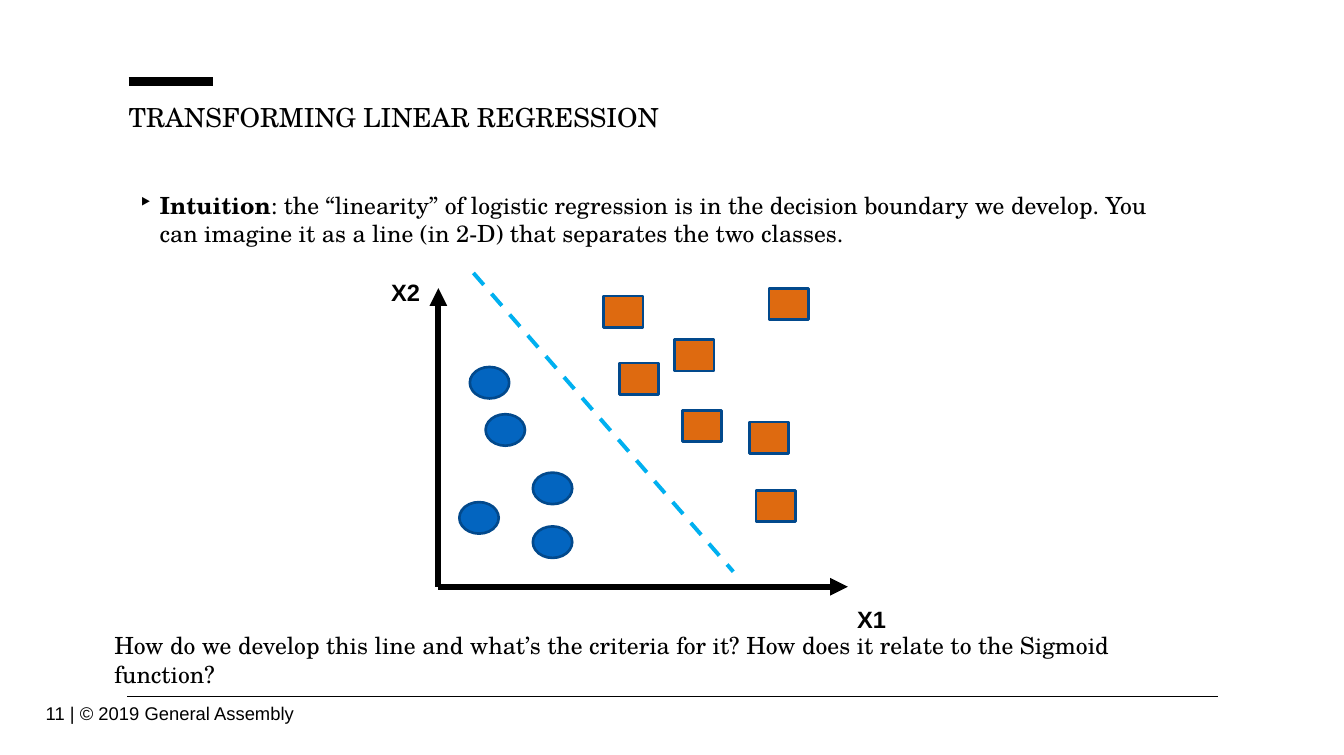
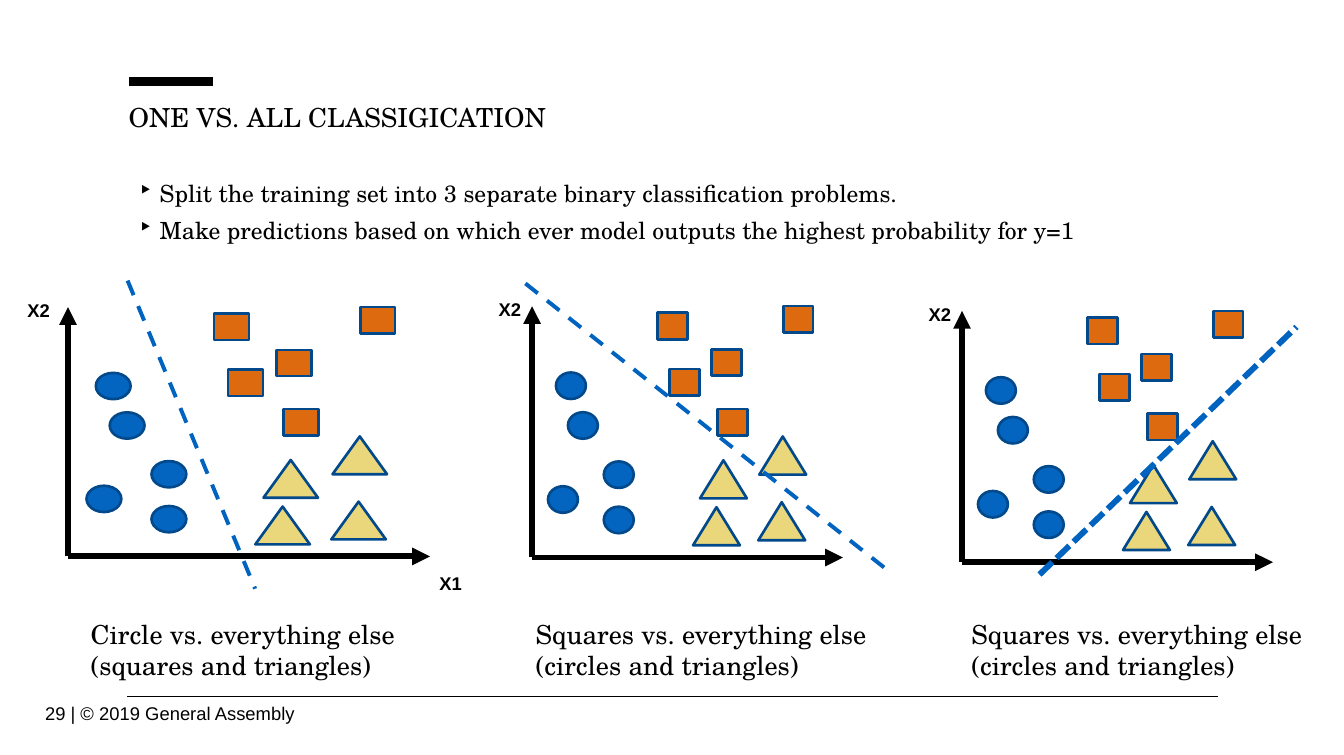
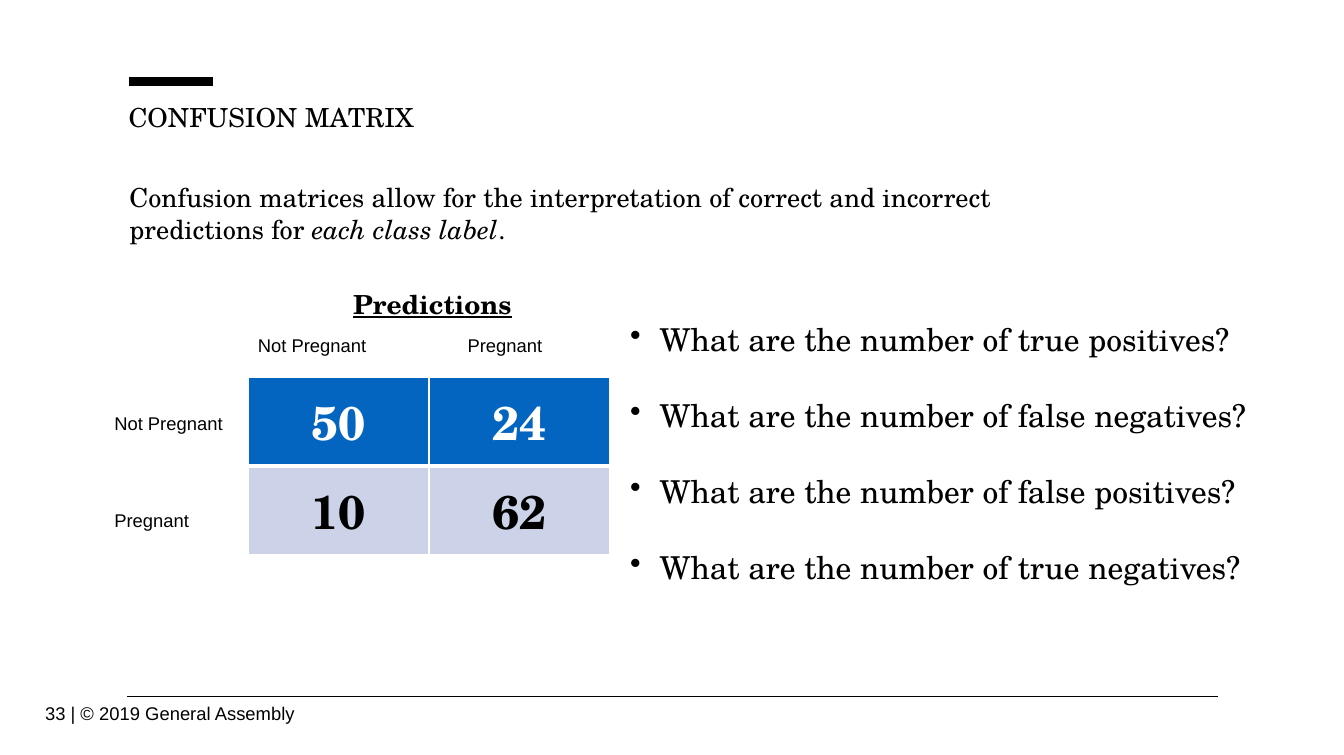
from dataclasses import dataclass

from lxml import etree
from pptx import Presentation
from pptx.dml.color import RGBColor
from pptx.enum import dml, shapes, text
from pptx.oxml import ns
from pptx.util import Pt


@dataclass(frozen=True)
class Theme:
    serif: str = "TeX Gyre Schola"
    sans: str = "Arial"
    black: str = "000000"
    white: str = "FFFFFF"
    blue: str = "0365C0"
    navy: str = "02498C"
    orange: str = "DE6A10"
    sand: str = "EAD77B"
    sky: str = "00B0F0"
    boundary: str = "0063BF"
    pale: str = "CCD3E8"
    small: int = 14
    body: int = 18
    title: int = 20
    question: int = 24
    count: int = 36


THEME = Theme()
CENTER = text.PP_ALIGN.CENTER
MIDDLE = text.MSO_ANCHOR.MIDDLE
DASH, SHORT_DASH = dml.MSO_LINE.DASH, dml.MSO_LINE.SQUARE_DOT

# Content. All lengths are points; boxes are (left, top, width, height).
SLIDE_SIZE = (1024, 575.3)
COPYRIGHT = "© 2019 General Assembly"

INTUITION = [[
    ("Intuition", {"bold": True}),
    (": the “linearity” of logistic regression is in the decision boundary we "
     "develop. You can imagine it as a line (in 2-D) that separates the two classes.", {}),
]]
LINE_QUESTION = ("How do we develop this line and what’s the criteria for it? "
                 "How does it relate to the Sigmoid function?")
STRATEGY = [
    "Split the training set into 3 separate binary classification problems.",
    "Make predictions based on which ever model outputs the highest probability for y=1",
]
MATRIX_INTRO = [[
    ("Confusion matrices allow for the interpretation of correct and incorrect "
     "predictions for ", {}),
    ("each class label", {"italic": True}),
    (".", {}),
]]
CLASSES = ["Not Pregnant", "Pregnant"]
COUNTS = [[50, 24], [10, 62]]
QUESTIONS = [f"What are the number of {outcome}?" for outcome in
             ("true positives", "false negatives", "false positives", "true negatives")]

# Every plot is the same scatter, stretched from this frame to its own.
FRAME = (312, 227.5)
MARKERS = {
    "circle": (shapes.MSO_SHAPE.OVAL, (30, 24), THEME.blue),
    "square": (shapes.MSO_SHAPE.RECTANGLE, (30, 24), THEME.orange),
    "triangle": (shapes.MSO_SHAPE.ISOSCELES_TRIANGLE, (47, 34.5), THEME.sand),
}
CIRCLES = [(24, 60), (36, 96), (72, 140.5), (16, 163), (72, 181.5)]
SQUARES = [(126, 6), (180, 39), (138, 57), (252, 0), (186, 93)]
FAR_SQUARES = [(237, 102), (242, 154)]
TRIANGLES = [(168.5, 139.5), (228, 118), (227, 177.5), (161.5, 182)]
AXIS_LABELS = {"X2": (-43, -11.5), "X1": (312, 238)}

TWO_CLASSES = {"circle": CIRCLES, "square": SQUARES + FAR_SQUARES}
THREE_CLASSES = {"circle": CIRCLES, "square": SQUARES, "triangle": TRIANGLES}

ONE_VS_ALL = [
    {"frame": (51.8, 234, 275.8, 190), "labels": ("X2", "X1"),
     "boundary": ((97.2, 213.8), (194.4, 448.6)), "width": 3, "dash": DASH,
     "caption": ("Circle vs. everything else (squares and triangles)", 62)},
    {"frame": (405.4, 233.3, 236.9, 191.5), "labels": ("X2",),
     "boundary": ((400.3, 216), (680.4, 437.8)), "width": 3, "dash": DASH,
     "caption": ("Squares vs. everything else (circles and triangles)", 401)},
    {"frame": (733, 236.9, 236.9, 191.5), "labels": ("X2",),
     "boundary": ((792, 437.8), (987.8, 249.1)), "width": 4.5, "dash": SHORT_DASH,
     "caption": ("Squares vs. everything else (circles and triangles)", 733)},
]


def rgb(color):
    return RGBColor.from_string(color)


def points(values):
    return [Pt(value) for value in values]


def add_text(slide, box, paragraphs, size, font=THEME.serif, margins=(7.2, 3.6),
             align=None, anchor=text.MSO_ANCHOR.TOP, bullet=None, indent=16,
             spacing=None, gap=0, **style):
    """Paragraphs are strings or lists of (text, run format)."""
    frame = slide.shapes.add_textbox(*points(box)).text_frame
    across, down = points(margins)
    layout = {"word_wrap": True, "vertical_anchor": anchor, "margin_left": across,
              "margin_right": across, "margin_top": down, "margin_bottom": down}
    for key, value in layout.items():
        setattr(frame, key, value)
    for index, content in enumerate(paragraphs):
        paragraph = frame.add_paragraph() if index else frame.paragraphs[0]
        paragraph.alignment = align
        paragraph.line_spacing = spacing
        if index and gap:
            paragraph.space_before = Pt(gap)
        if bullet:
            properties = paragraph._p.get_or_add_pPr()
            properties.set("marL", str(Pt(indent)))
            properties.set("indent", str(-Pt(indent)))
            etree.SubElement(properties, ns.qn("a:buChar"), char=bullet)
        runs = [(content, {})] if isinstance(content, str) else content
        for words, run_style in runs:
            run = paragraph.add_run()
            run.text = words
            run.font.color.rgb = rgb(THEME.black)
            formats = {"name": font, "size": Pt(size), **style, **run_style}
            for key, value in formats.items():
                setattr(run.font, key, value)


def add_line(slide, start, end, width, color=THEME.black, dash=None, arrow=False):
    line = slide.shapes.add_connector(
        shapes.MSO_CONNECTOR.STRAIGHT, *points((*start, *end)))
    line.line.color.rgb = rgb(color)
    line.line.width = Pt(width)
    if dash:
        line.line.dash_style = dash
    if arrow:
        etree.SubElement(line.line._get_or_add_ln(), ns.qn("a:tailEnd"), type="triangle")
    etree.SubElement(line._element.spPr, ns.qn("a:effectLst"))


def add_marker(slide, kind, box):
    preset, _, color = MARKERS[kind]
    marker = slide.shapes.add_shape(preset, *points(box))
    marker.shadow.inherit = False
    marker.fill.solid()
    marker.fill.fore_color.rgb = rgb(color)
    marker.line.color.rgb = rgb(THEME.navy)
    marker.line.width = Pt(2)


def add_plot(slide, frame, classes, labels, label_size, boundary, width, dash, color):
    left, top, plot_width, plot_height = frame
    across, down = plot_width / FRAME[0], plot_height / FRAME[1]

    def place(x, y):
        return round(left + x * across, 2), round(top + y * down, 2)

    origin = place(0, FRAME[1])
    for axis_end in (place(0, 0), place(*FRAME)):
        add_line(slide, origin, axis_end, 4.5, arrow=True)
    for kind, spots in classes.items():
        marker_width, marker_height = MARKERS[kind][1]
        for spot in spots:
            add_marker(slide, kind,
                       (*place(*spot), marker_width * across, marker_height * down))
    for label in labels:
        add_text(slide, (*place(*AXIS_LABELS[label]), 54, 24), [label],
                 label_size, THEME.sans, bold=True)
    add_line(slide, *boundary, width, color, dash)


def add_base(deck, title, number):
    """Slide with the parts that all slides share."""
    slide = deck.slides.add_slide(deck.slide_layouts[6])
    add_line(slide, (98, 62), (162.5, 62), 7)
    add_line(slide, (97, 530.6), (928, 530.6), 0.75)
    add_text(slide, (16.5, 521.3, 226, 44), [f"{number} | {COPYRIGHT}"], THEME.small,
             THEME.sans, margins=(10, 10), align=CENTER, anchor=MIDDLE)
    add_text(slide, (98, 77, 441, 20), [title], THEME.title, margins=(0, 0))
    return slide


def set_border(cell, side, width):
    border = etree.SubElement(cell._tc.get_or_add_tcPr(), ns.qn(f"a:{side}"), w=str(Pt(width)))
    fill = etree.SubElement(border, ns.qn("a:solidFill"))
    etree.SubElement(fill, ns.qn("a:srgbClr"), val=THEME.white)


def add_matrix(slide, box):
    table = slide.shapes.add_table(2, 2, *points(box)).table
    table.first_row = table.horz_banding = False
    looks = [(THEME.blue, THEME.white), (THEME.pale, THEME.black)]
    for row, (counts, (fill, color)) in enumerate(zip(COUNTS, looks)):
        for column, count in enumerate(counts):
            cell = table.cell(row, column)
            borders = {"lnL": 1, "lnR": 1, "lnT": 3 if row else 1, "lnB": 1 if row else 3}
            for side, width in borders.items():
                set_border(cell, side, width)
            cell.fill.solid()
            cell.fill.fore_color.rgb = rgb(fill)
            cell.vertical_anchor = MIDDLE
            paragraph = cell.text_frame.paragraphs[0]
            paragraph.alignment = CENTER
            run = paragraph.add_run()
            run.text = str(count)
            run.font.color.rgb = rgb(color)
            for key, value in {"name": THEME.serif, "size": Pt(THEME.count),
                               "bold": True}.items():
                setattr(run.font, key, value)


def build_regression(deck):
    slide = add_base(deck, "TRANSFORMING LINEAR REGRESSION", 11)
    add_text(slide, (98.6, 138.2, 785, 60), INTUITION, THEME.body,
             margins=(7.2, 7.2), bullet="‣")
    add_plot(slide, (334, 219.6, *FRAME), TWO_CLASSES, ("X2", "X1"), THEME.body,
             ((360.7, 208), (558.7, 435.6)), 3, DASH, THEME.sky)
    add_text(slide, (80, 477.4, 831, 50), [LINE_QUESTION], THEME.body)


def build_one_vs_all(deck):
    slide = add_base(deck, "ONE VS. ALL CLASSIGICATION", 29)
    add_text(slide, (98.6, 126.7, 785, 70), STRATEGY, THEME.body,
             margins=(7.2, 7.2), bullet="‣", spacing=1.1, gap=4.3)
    for plot in ONE_VS_ALL:
        add_plot(slide, plot["frame"], THREE_CLASSES, plot["labels"], THEME.small,
                 plot["boundary"], plot["width"], plot["dash"], THEME.boundary)
        caption, left = plot["caption"]
        add_text(slide, (left, 467.5, 279.4, 55.5), [caption], THEME.title)


def build_confusion_matrix(deck):
    slide = add_base(deck, "CONFUSION MATRIX", 33)
    add_text(slide, (98.6, 138.2, 687.6, 55), MATRIX_INTRO, THEME.title, margins=(0, 0))
    add_matrix(slide, (189.4, 287.3, 275, 135.4))
    add_text(slide, (260, 216, 139, 31.7), ["Predictions"], THEME.title,
             align=CENTER, bold=True, underline=True)
    column_spots = [(189.4, 251.3), (349.2, 251.3)]
    row_spots = [(80, 310.3), (80, 384.5)]
    for spots in (column_spots, row_spots):
        for name, spot in zip(CLASSES, spots):
            add_text(slide, (*spot, 152, 24.5), [name], THEME.small, THEME.sans)
    add_text(slide, (473, 240.5, 486, 211), QUESTIONS, THEME.question,
             bullet="•", indent=22.5, gap=29)


def main():
    deck = Presentation()
    deck.slide_width, deck.slide_height = points(SLIDE_SIZE)
    for build in (build_regression, build_one_vs_all, build_confusion_matrix):
        build(deck)
    deck.save("out.pptx")


if __name__ == "__main__":
    main()
